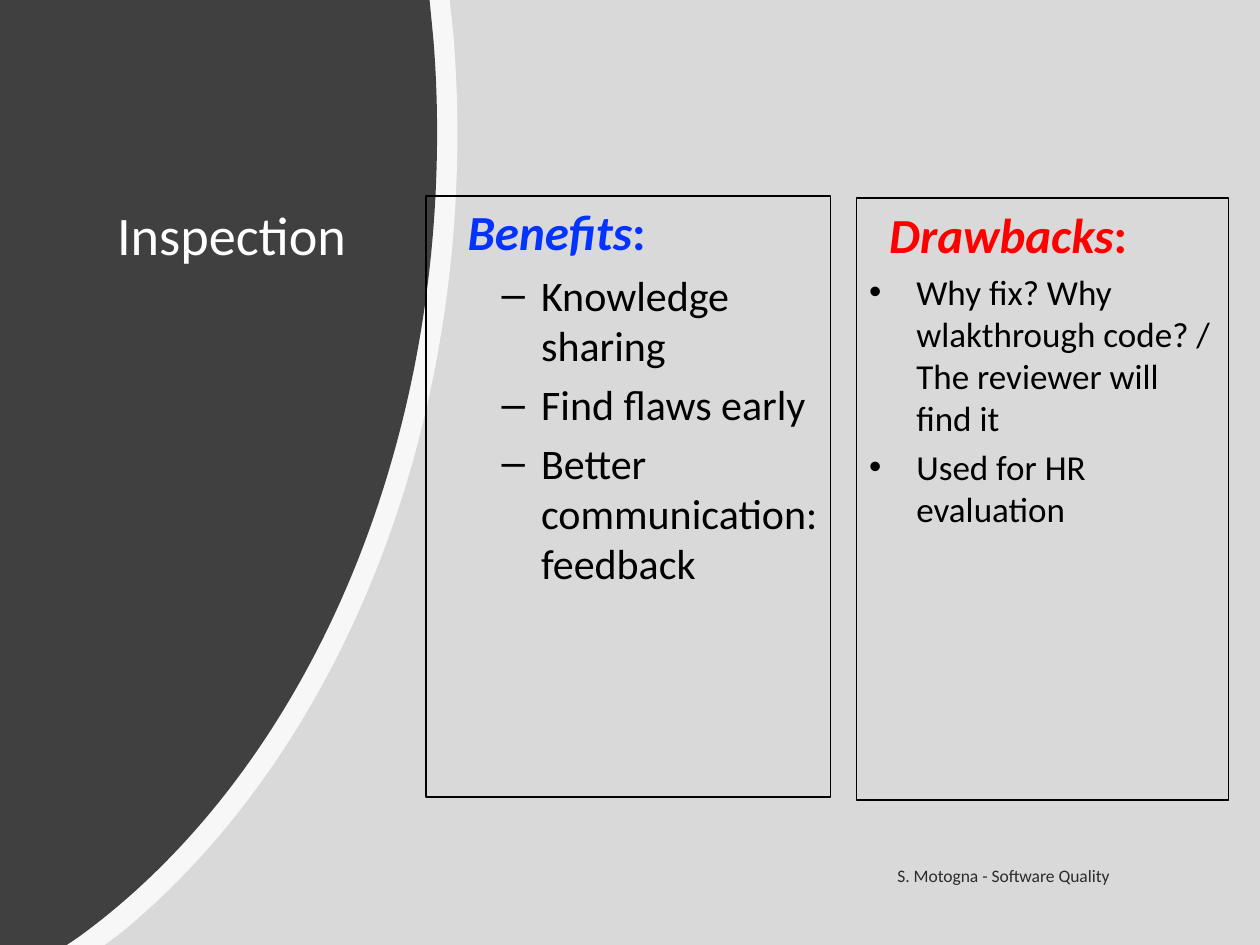
from pptx import Presentation
from pptx.dml.color import RGBColor
from pptx.enum.shapes import MSO_SHAPE
from pptx.enum.text import MSO_ANCHOR, MSO_AUTO_SIZE, PP_ALIGN
from pptx.oxml.ns import qn
from pptx.util import Pt
from lxml.etree import SubElement

WIDTH, HEIGHT = 720, 540


def color(hex_value):
    return RGBColor.from_string(hex_value)


def set_opacity(shape, percent):
    for element in shape.element.iter(qn("a:srgbClr")):
        SubElement(element, qn("a:alpha")).set("val", str(percent * 1000))


def fill_plain(shape, hex_value):
    shape.shadow.inherit = False
    shape.fill.solid()
    shape.fill.fore_color.rgb = color(hex_value)
    shape.line.fill.background()


def place(shape, left, top, width, height):
    bounds = {"left": left, "top": top, "width": width, "height": height}
    for name, value in bounds.items():
        setattr(shape, name, Pt(value))


def format_frame(shape, anchor):
    values = {"word_wrap": True, "auto_size": MSO_AUTO_SIZE.NONE,
              "vertical_anchor": anchor}
    for name, value in values.items():
        setattr(shape.text_frame, name, value)


def add_run(paragraph, text, size, hex_value, **styles):
    run = paragraph.add_run()
    run.text = text
    values = {"name": "Calibri", "size": Pt(size), **styles}
    for name, value in values.items():
        setattr(run.font, name, value)
    run.font.color.rgb = color(hex_value)


def bend(segment, controls):
    """Turn a straight segment into a cubic curve to the same end."""
    segment.tag = qn("a:cubicBezTo")
    for index, (x, y) in enumerate(controls):
        point = segment.makeelement(qn("a:pt"), {"x": str(Pt(x)), "y": str(Pt(y))})
        segment.insert(index, point)


def add_arc_panel(slide, corners, curves, hex_value):
    """Panel on the left edge; curves maps a corner to its control points."""
    builder = slide.shapes.build_freeform(0, 0)
    builder.add_line_segments([(Pt(x), Pt(y)) for x, y in corners], close=True)
    panel = builder.convert_to_shape()
    segments = list(panel.element.iter(qn("a:lnTo")))
    for index, controls in curves.items():
        bend(segments[index], controls)
    fill_plain(panel, hex_value)
    return panel


def add_backdrop(slide):
    backdrop = slide.shapes.add_shape(MSO_SHAPE.RECTANGLE, 0, 0,
                                      Pt(WIDTH), Pt(HEIGHT))
    fill_plain(backdrop, "D9D9D9")
    rim = add_arc_panel(
        slide,
        [(257, 0), (259.2, 20.9), (261.4, 75.6), (67.7, 534.2),
         (59.8, HEIGHT), (0, HEIGHT)],
        {2: [(260.6, 38.9), (261.4, 57.6)], 3: [(261.4, 270), (183.6, 440)]},
        "FFFFFF")
    set_opacity(rim, 80)
    add_arc_panel(
        slide,
        [(245.5, 0), (247.7, 22.3), (249.8, 75.6), (44.6, 535.7),
         (38.2, HEIGHT), (0, HEIGHT)],
        {2: [(249.1, 39.6), (249.8, 57.6)], 3: [(249.8, 274.3), (167, 447.1)]},
        "404040")


def fill_title(title, text):
    place(title, 47.7, 111.2, 169.2, 169.9)
    format_frame(title, MSO_ANCHOR.TOP)
    paragraph = title.text_frame.paragraphs[0]
    paragraph.alignment = PP_ALIGN.CENTER
    add_run(paragraph, text, 31, "FFFFFF")


def fill_list(body, bounds, heading, heading_color, indent, items, level, size):
    place(body, *bounds)
    format_frame(body, MSO_ANCHOR.TOP)
    body.line.color.rgb = color("000000")
    body.line.width = Pt(1)
    # Heading without a bullet
    paragraph = body.text_frame.paragraphs[0]
    properties = paragraph._p.get_or_add_pPr()
    properties.set("marL", str(Pt(indent)))
    properties.set("indent", "0")
    SubElement(properties, qn("a:buNone"))
    add_run(paragraph, heading, 28, heading_color, bold=True, italic=True)
    add_run(paragraph, ":", 28, heading_color, bold=True)
    # Bulleted items
    for item in items:
        paragraph = body.text_frame.add_paragraph()
        paragraph.level = level
        add_run(paragraph, item, size, "000000")


def add_footer(slide, text):
    footer = slide.shapes.add_textbox(Pt(248.7), Pt(486), Pt(392.4), Pt(28.8))
    format_frame(footer, MSO_ANCHOR.MIDDLE)
    paragraph = footer.text_frame.paragraphs[0]
    paragraph.alignment = PP_ALIGN.RIGHT
    paragraph.space_after = Pt(6)
    add_run(paragraph, text, 10, "000000")
    set_opacity(footer, 80)


def main():
    presentation = Presentation()
    presentation.slide_width, presentation.slide_height = Pt(WIDTH), Pt(HEIGHT)
    slide = presentation.slides.add_slide(presentation.slide_layouts[3])
    title, benefits, drawbacks = slide.placeholders

    # Backdrop, with the placeholders brought in front of it
    add_backdrop(slide)
    for placeholder in (title, benefits, drawbacks):
        slide.shapes.element.append(placeholder.element)

    # Title and lists
    fill_title(title, "Inspection")
    fill_list(benefits, (243.5, 111.8, 231.1, 343.7), "Benefits", "0432FF", 16.5,
              ["Knowledge sharing", "Find flaws early",
               "Better communication: feedback"], level=1, size=24)
    fill_list(drawbacks, (489.4, 113.3, 212.6, 343.7), "Drawbacks", "FF0000", 11.5,
              ["Why fix? Why wlakthrough code? / The reviewer will find it",
               "Used for HR evaluation"], level=0, size=20)

    # Footer
    add_footer(slide, "S. Motogna - Software Quality")
    presentation.save("out.pptx")


main()
